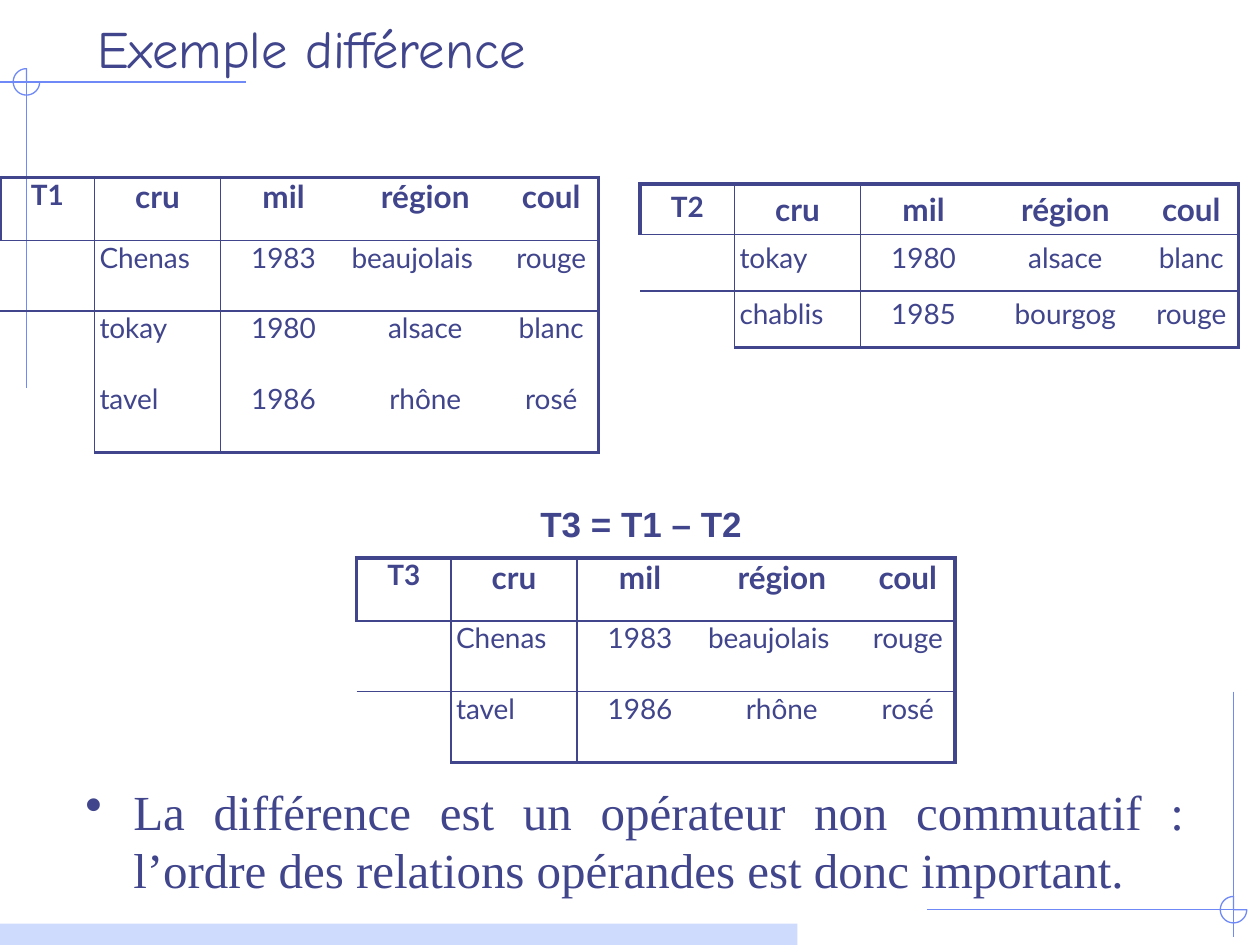
"""Build the slide that explains the relational difference T1 – T2."""
from dataclasses import dataclass
from math import cos, pi, sin

from lxml.etree import SubElement
from pptx import Presentation
from pptx.dml.color import RGBColor
from pptx.enum.shapes import MSO_CONNECTOR, MSO_SHAPE
from pptx.enum.text import MSO_ANCHOR, PP_ALIGN
from pptx.oxml.ns import qn
from pptx.util import Emu, Pt

EMU_PER_PX = 9144
COLORS = {"text": "40458C", "ornament": "6F89F7", "band": "CFDBFD"}
FORMATS = {
    "title": {"name": "Comic Neue", "size": Pt(30), "bold": False},
    "body": {"name": "Times New Roman", "size": Pt(28), "bold": False},
    "formula": {"name": "Arial", "size": Pt(20), "bold": True},
    "name": {"name": "Lato", "size": Pt(16), "bold": True},
    "header": {"name": "Lato", "size": Pt(18), "bold": True},
    "value": {"name": "Lato", "size": Pt(16), "bold": False},
}
NO_STYLE = "{2D5ABB26-0587-4C30-8999-92F81FD0307C}"
HEADERS = ("cru", "mil", "région", "coul")
COLUMN_WIDTHS = (75, 100, 100, 125, 75)
THIN, THICK = Pt(1), Pt(2.25)
CHENAS = ("Chenas", "1983", "beaujolais", "rouge")
TOKAY = ("tokay", "1980", "alsace", "blanc")
TAVEL = ("tavel", "1986", "rhône", "rosé")
CHABLIS = ("chablis", "1985", "bourgog", "rouge")
JUSTIFIED = ("Chenas", "tokay", "tavel", "chablis", "beaujolais")


@dataclass(frozen=True)
class Relation:
    name: str
    left: int
    top: int
    header_height: int
    row_height: int
    padding: int
    rows: tuple


@dataclass(frozen=True)
class Ornament:
    center_x: int
    center_y: int
    horizontal: tuple
    vertical: tuple


RELATIONS = (
    Relation("T1", 0, 141, 50, 56, 0, (CHENAS, TOKAY, TAVEL)),
    Relation("T2", 508, 146, 40, 45, 5, (TOKAY, CHABLIS)),
    Relation("T3", 283, 443, 50, 56, 0, (CHENAS, TAVEL)),
)
ORNAMENTS = (
    Ornament(21, 65, (0, 195), (55, 308)),
    Ornament(979, 722, (736, 990), (549, 744)),
)


def px(length: float) -> Emu:
    return Emu(round(length * EMU_PER_PX))


def color(key: str) -> RGBColor:
    return RGBColor.from_string(COLORS[key])


def write(paragraph, text: str, style: str, alignment) -> None:
    paragraph.alignment = alignment
    run = paragraph.add_run()
    run.text = text
    for attribute, value in FORMATS[style].items():
        setattr(run.font, attribute, value)
    run.font.color.rgb = color("text")


def style_line(line) -> None:
    line.color.rgb = color("ornament")
    line.width = Pt(0.75)


def draw_line(slide, start: tuple, end: tuple) -> None:
    connector = slide.shapes.add_connector(MSO_CONNECTOR.STRAIGHT, *map(px, start + end))
    style_line(connector.line)
    SubElement(connector._element.spPr, qn("a:effectLst"))


def draw_ornament(slide, ornament: Ornament, radius: float = 10.5, steps: int = 36) -> None:
    x, y = ornament.center_x, ornament.center_y
    draw_line(slide, (ornament.horizontal[0], y), (ornament.horizontal[1], y))
    draw_line(slide, (x, ornament.vertical[0]), (x, ornament.vertical[1]))
    angles = [1.5 * pi * step / steps for step in range(steps + 1)]
    arc = [(px(x + radius * cos(angle)), px(y + radius * sin(angle))) for angle in angles]
    builder = slide.shapes.build_freeform(px(x), px(y))
    builder.add_line_segments(arc, close=True)
    shape = builder.convert_to_shape()
    shape.fill.background()
    shape.shadow.inherit = False
    style_line(shape.line)


def set_borders(cell, widths: dict) -> None:
    properties = cell._tc.get_or_add_tcPr()
    for position, side in enumerate("LRTB"):
        line = properties.makeelement(qn(f"a:ln{side}"), {})
        properties.insert(position, line)
        if widths.get(side):
            line.set("w", str(int(widths[side])))
            fill = SubElement(line, qn("a:solidFill"))
            SubElement(fill, qn("a:srgbClr"), val=COLORS["text"])
        else:
            SubElement(line, qn("a:noFill"))


def border_widths(row: int, column: int, last_row: int) -> dict:
    last_column = len(COLUMN_WIDTHS) - 1
    left = (THICK if row == 0 else None) if column == 0 else THIN if column < 3 else None
    right = THICK if column == last_column else THIN if column < 2 else None
    top = THICK if row == 0 else THIN if row < 3 else None
    bottom = THIN if row < 2 else None
    if row == last_row:
        bottom = THICK if column else None
    return {"L": left, "R": right, "T": top, "B": bottom}


def draw_relation(slide, relation: Relation) -> None:
    grid = [(relation.name, *HEADERS)] + [("", *row) for row in relation.rows]
    heights = [relation.header_height] + [relation.row_height] * len(relation.rows)
    frame = slide.shapes.add_table(
        len(grid), len(COLUMN_WIDTHS), px(relation.left), px(relation.top),
        px(sum(COLUMN_WIDTHS)), px(sum(heights)))
    frame._element.find(f".//{qn('a:tableStyleId')}").text = NO_STYLE
    table = frame.table
    table.first_row = table.horz_banding = False
    for column, width in zip(table.columns, COLUMN_WIDTHS):
        column.width = px(width)
    for row_index, (row, height) in enumerate(zip(grid, heights)):
        table.rows[row_index].height = px(height)
        for column_index, text in enumerate(row):
            cell = table.cell(row_index, column_index)
            side = px(4 if row_index else 0)
            margins = {"margin_left": side, "margin_right": side,
                       "margin_top": px(relation.padding), "margin_bottom": px(relation.padding)}
            for attribute, value in margins.items():
                setattr(cell, attribute, value)
            cell.fill.background()
            set_borders(cell, border_widths(row_index, column_index, len(grid) - 1))
            style = "value" if row_index else "header" if column_index else "name"
            paragraph = cell.text_frame.paragraphs[0]
            paragraph.font.size = FORMATS[style]["size"]
            if text:
                alignment = PP_ALIGN.JUSTIFY if text in JUSTIFIED else PP_ALIGN.CENTER
                write(paragraph, text, style, alignment)


def add_text(slide, box: tuple, text: str, style: str, alignment):
    shape = slide.shapes.add_textbox(*map(px, box))
    shape.text_frame.word_wrap = True
    paragraph = shape.text_frame.paragraphs[0]
    write(paragraph, text, style, alignment)
    return paragraph


def add_bullet(paragraph, indent: int) -> None:
    properties = paragraph._p.get_or_add_pPr()
    properties.set("marL", str(px(indent)))
    properties.set("indent", str(px(-indent)))
    bullet_color = SubElement(properties, qn("a:buClr"))
    SubElement(bullet_color, qn("a:srgbClr"), val=COLORS["text"])
    SubElement(properties, qn("a:buChar"), char="•")


def main() -> None:
    presentation = Presentation()
    presentation.slide_width, presentation.slide_height = px(1000), px(750)
    slide = presentation.slides.add_slide(presentation.slide_layouts[5])
    title = slide.shapes.title
    title.left, title.top, title.width, title.height = map(px, (67, 1, 908, 67))
    title.text_frame.vertical_anchor = MSO_ANCHOR.BOTTOM
    write(title.text_frame.paragraphs[0], "Exemple différence", "title", PP_ALIGN.LEFT)
    for ornament in ORNAMENTS:
        draw_ornament(slide, ornament)
    band = slide.shapes.add_shape(MSO_SHAPE.RECTANGLE, *map(px, (0, 733, 633, 17)))
    band.shadow.inherit = False
    band.fill.solid()
    band.fill.fore_color.rgb = color("band")
    band.line.fill.background()
    statement = add_text(
        slide, (58, 615, 892, 86),
        "La différence est un opérateur non commutatif : "
        "l’ordre des relations opérandes est donc important.", "body", PP_ALIGN.JUSTIFY)
    add_bullet(statement, 38)
    for relation in RELATIONS:
        draw_relation(slide, relation)
    add_text(slide, (419, 394, 283, 43), "T3 = T1 – T2", "formula", PP_ALIGN.LEFT)
    presentation.save("out.pptx")


if __name__ == "__main__":
    main()
